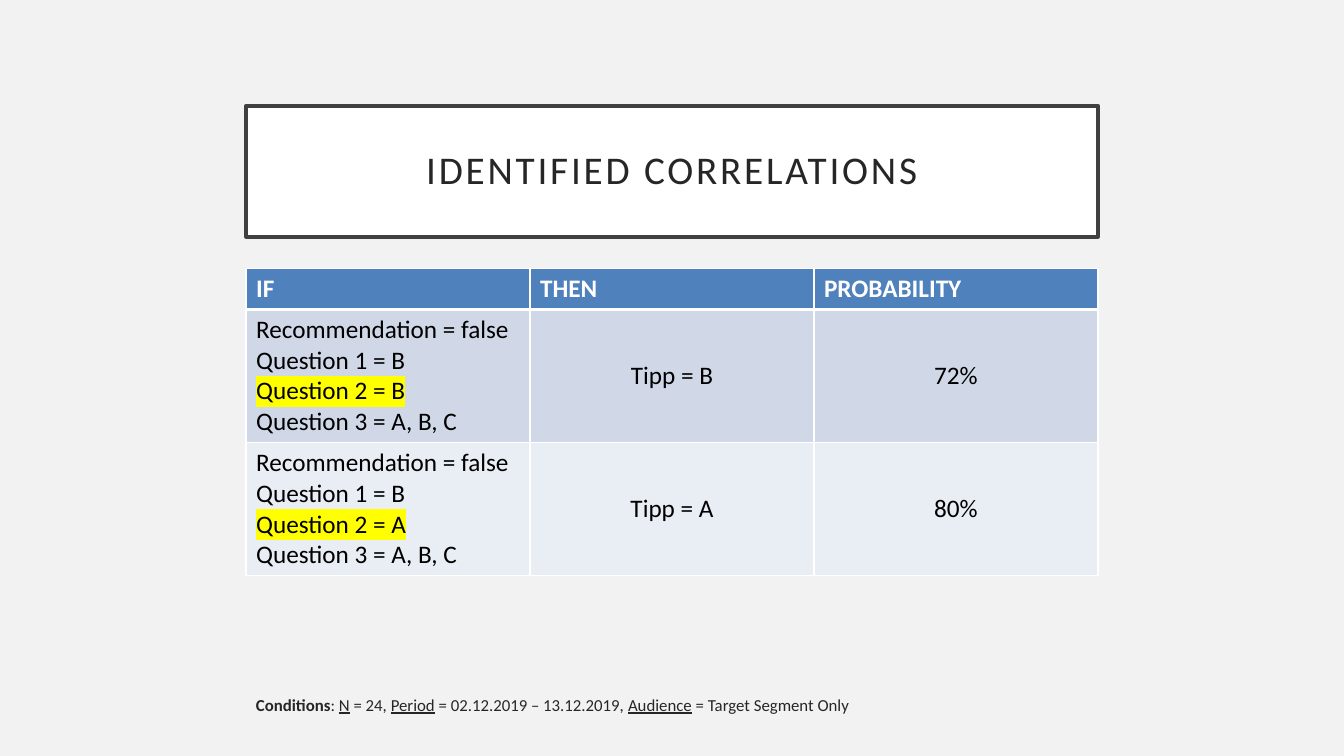
from dataclasses import dataclass

from lxml.etree import SubElement
from pptx import Presentation
from pptx.dml.color import RGBColor as Rgb
from pptx.enum.text import MSO_ANCHOR as Anchor, PP_ALIGN as Align
from pptx.oxml.ns import qn
from pptx.util import Inches, Pt


@dataclass(frozen=True)
class Theme:
    font: str = "Calibri"
    background: str = "F2F2F2"
    white: str = "FFFFFF"
    frame: str = "404040"
    ink: str = "262626"
    black: str = "000000"
    header: str = "4F81BD"
    bands: tuple = ("D0D8E8", "E9EDF4")
    marker: str = "FFFF00"
    title_size: int = 28
    table_size: int = 18
    note_size: int = 12


THEME = Theme()

# One content column, centred on the slide
SLIDE_W, SLIDE_H = 13.33, 7.5
COLUMN_W = 8.45
COLUMN_X = (SLIDE_W - COLUMN_W) / 2
HEADER_H, RULE_H = 0.41, 1.32

HEADINGS = ("IF", "THEN", "PROBABILITY")
# Answer to question 2, resulting tip, probability
RULES = (("B", "Tipp = B", "72%"), ("A", "Tipp = A", "80%"))
# Text, bold, underlined
CONDITIONS = (
    ("Conditions", True, False), (": ", False, False),
    ("N", False, True), (" = 24, ", False, False),
    ("Period", False, True), (" = 02.12.2019 – 13.12.2019, ", False, False),
    ("Audience", False, True), (" = Target Segment Only", False, False),
)


def column_box(top, height):
    return [Inches(v) for v in (COLUMN_X, top, COLUMN_W, height)]


def paint(fill, color):
    fill.solid()
    fill.fore_color.rgb = Rgb.from_string(color)


def style(paragraph, size, color, bold=None, align=Align.LEFT):
    paragraph.alignment = align
    font = paragraph.font
    font.name, font.size, font.bold = THEME.font, Pt(size), bold
    font.color.rgb = Rgb.from_string(color)


def highlight(run):
    marker = SubElement(run._r.get_or_add_rPr(), qn("a:highlight"))
    SubElement(marker, qn("a:srgbClr"), val=THEME.marker)


def add_title(slide, text):
    title = slide.shapes.title
    title.left, title.top, title.width, title.height = column_box(1.05, 1.3)
    paint(title.fill, THEME.white)
    title.line.color.rgb = Rgb.from_string(THEME.frame)
    title.line.width = Pt(2.5)
    frame = title.text_frame
    frame.text = text
    frame.word_wrap = True
    frame.vertical_anchor = Anchor.MIDDLE
    frame.margin_left = frame.margin_right = Inches(0.2)
    frame.margin_top = frame.margin_bottom = Inches(0.2)
    heading = frame.paragraphs[0]
    style(heading, THEME.title_size, THEME.ink, align=Align.CENTER)
    heading.line_spacing = 0.9
    # Letter spacing, in hundredths of a point
    heading.runs[0]._r.get_or_add_rPr().set("spc", "200")


def add_borders(cell, bottom_width):
    properties = cell._tc.get_or_add_tcPr()
    sides = (("lnL", 1), ("lnR", 1), ("lnT", 1), ("lnB", bottom_width))
    for index, (side, width) in enumerate(sides):
        border = SubElement(properties, qn(f"a:{side}"), w=str(Pt(width)))
        fill = SubElement(border, qn("a:solidFill"))
        SubElement(fill, qn("a:srgbClr"), val=THEME.white)
        # Borders stand before the cell's fill
        properties.insert(index, border)


def fill_cell(cell, text, fill, color, bold=False, align=Align.LEFT,
              bottom_width=1):
    cell.text = text
    paint(cell.fill, fill)
    for paragraph in cell.text_frame.paragraphs:
        style(paragraph, THEME.table_size, color, bold, align)
    if align == Align.CENTER:
        cell.vertical_anchor = Anchor.MIDDLE
    add_borders(cell, bottom_width)


def add_rules_table(slide):
    height = HEADER_H + RULE_H * len(RULES)
    table = slide.shapes.add_table(
        len(RULES) + 1, len(HEADINGS), *column_box(2.66, height)).table
    table.rows[0].height = Inches(HEADER_H)

    # Heading row
    for column, heading in enumerate(HEADINGS):
        fill_cell(table.cell(0, column), heading, THEME.header, THEME.white,
                  bold=True, bottom_width=3)

    # One row per rule
    for row, (answer, tip, probability) in enumerate(RULES, start=1):
        table.rows[row].height = Inches(RULE_H)
        band = THEME.bands[row - 1]
        premises = ("Recommendation = false", "Question 1 = B",
                    f"Question 2 = {answer}", "Question 3 = A, B, C")
        premise_cell = table.cell(row, 0)
        fill_cell(premise_cell, "\n".join(premises), band, THEME.black)
        highlight(premise_cell.text_frame.paragraphs[2].runs[0])
        for column, result in enumerate((tip, probability), start=1):
            fill_cell(table.cell(row, column), result, band, THEME.black,
                      align=Align.CENTER)


def add_conditions(slide):
    frame = slide.shapes.add_textbox(*column_box(6.84, 0.35)).text_frame
    frame.word_wrap = True
    note = frame.paragraphs[0]
    style(note, THEME.note_size, THEME.ink)
    note.space_before = Pt(10)
    for text, bold, underline in CONDITIONS:
        run = note.add_run()
        run.text = text
        run.font.bold, run.font.underline = bold, underline


def main():
    deck = Presentation()
    deck.slide_width, deck.slide_height = Inches(SLIDE_W), Inches(SLIDE_H)
    slide = deck.slides.add_slide(deck.slide_layouts[5])
    paint(slide.background.fill, THEME.background)
    add_title(slide, "IDENTIFIED CORRELATIONS")
    add_rules_table(slide)
    add_conditions(slide)
    deck.save("out.pptx")


if __name__ == "__main__":
    main()
